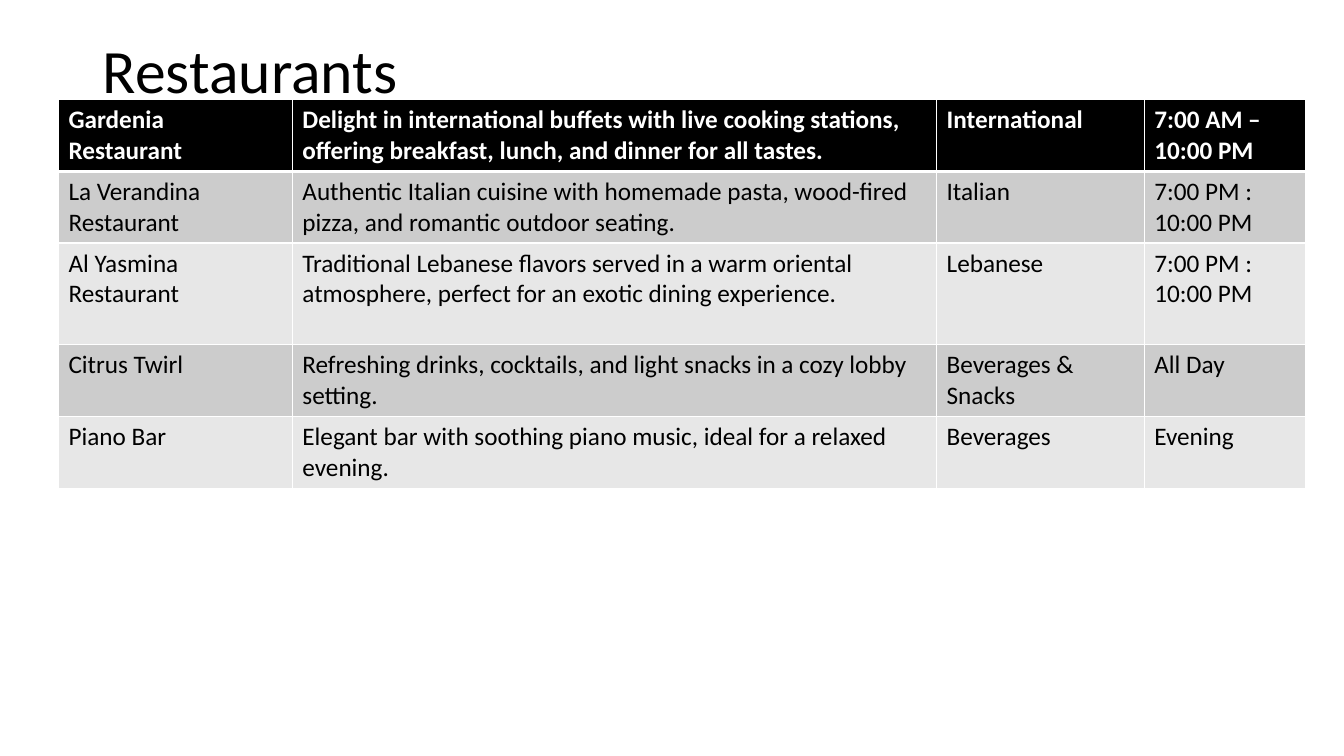
"""Build the Restaurants slide with its table of venues."""
from lxml.etree import fromstring
from pptx import Presentation
from pptx.dml.color import RGBColor
from pptx.enum.text import MSO_ANCHOR, PP_ALIGN
from pptx.util import Inches, Pt

NS = "http://schemas.openxmlformats.org/drawingml/2006/main"
ROWS = [
    ("Gardenia Restaurant",
     "Delight in international buffets with live cooking stations, offering breakfast, lunch, and dinner for all tastes.",
     "International", "7:00 AM – 10:00 PM"),
    ("La Verandina Restaurant",
     "Authentic Italian cuisine with homemade pasta, wood-fired pizza, and romantic outdoor seating.",
     "Italian", "7:00 PM : 10:00 PM"),
    ("Al Yasmina Restaurant",
     "Traditional Lebanese flavors served in a warm oriental atmosphere, perfect for an exotic dining experience.",
     "Lebanese", "7:00 PM : 10:00 PM"),
    ("Citrus Twirl",
     "Refreshing drinks, cocktails, and light snacks in a cozy lobby setting.",
     "Beverages & Snacks", "All Day"),
    ("Piano Bar",
     "Elegant bar with soothing piano music, ideal for a relaxed evening.",
     "Beverages", "Evening"),
]
WIDTHS = [2.32, 6.39, 2.06, 1.6]
HEIGHTS = [0.71, 0.71, 1.01, 0.71, 0.71]
FILLS = ["000000", "CCCCCC", "E7E7E7", "CCCCCC", "E7E7E7"]


def add_run(p, text, size, color, bold=False):
    r = p.add_run()
    r.text = text
    r.font.name = "Calibri"
    r.font.size = Pt(size)
    r.font.bold = bold
    r.font.color.rgb = RGBColor.from_string(color)


def add_border(cell, side, width, index):
    cell._tc.get_or_add_tcPr().insert(index, fromstring(
        f'<a:ln{side} xmlns:a="{NS}" w="{Pt(width)}"><a:solidFill>'
        f'<a:srgbClr val="FFFFFF"/></a:solidFill></a:ln{side}>'))


prs = Presentation()
prs.slide_width, prs.slide_height = Inches(13.33), Inches(7.5)
s = prs.slides.add_slide(prs.slide_layouts[5])

title = s.shapes.title
title.left, title.top = Inches(0.92), Inches(0)
title.width, title.height = Inches(11.5), Inches(1.45)
tf = title.text_frame
tf.vertical_anchor = MSO_ANCHOR.MIDDLE
p = tf.paragraphs[0]
p.alignment = PP_ALIGN.LEFT
p.line_spacing = 0.9
add_run(p, "Restaurants", 44, "000000")

table = s.shapes.add_table(len(ROWS), len(WIDTHS), Inches(0.58), Inches(0.99),
                           Inches(sum(WIDTHS)), Inches(sum(HEIGHTS))).table
for col, width in zip(table.columns, WIDTHS):
    col.width = Inches(width)
for i, row in enumerate(ROWS):
    table.rows[i].height = Inches(HEIGHTS[i])
    header = i == 0
    for j, text in enumerate(row):
        cell = table.cell(i, j)
        cell.fill.solid()
        cell.fill.fore_color.rgb = RGBColor.from_string(FILLS[i])
        add_run(cell.text_frame.paragraphs[0], text, 18,
                "FFFFFF" if header else "000000", header)
        for k, side in enumerate("LRTB"):
            thick = (header and side == "B") or (i == 1 and side == "T")
            add_border(cell, side, 3 if thick else 1, k)

prs.save("out.pptx")
